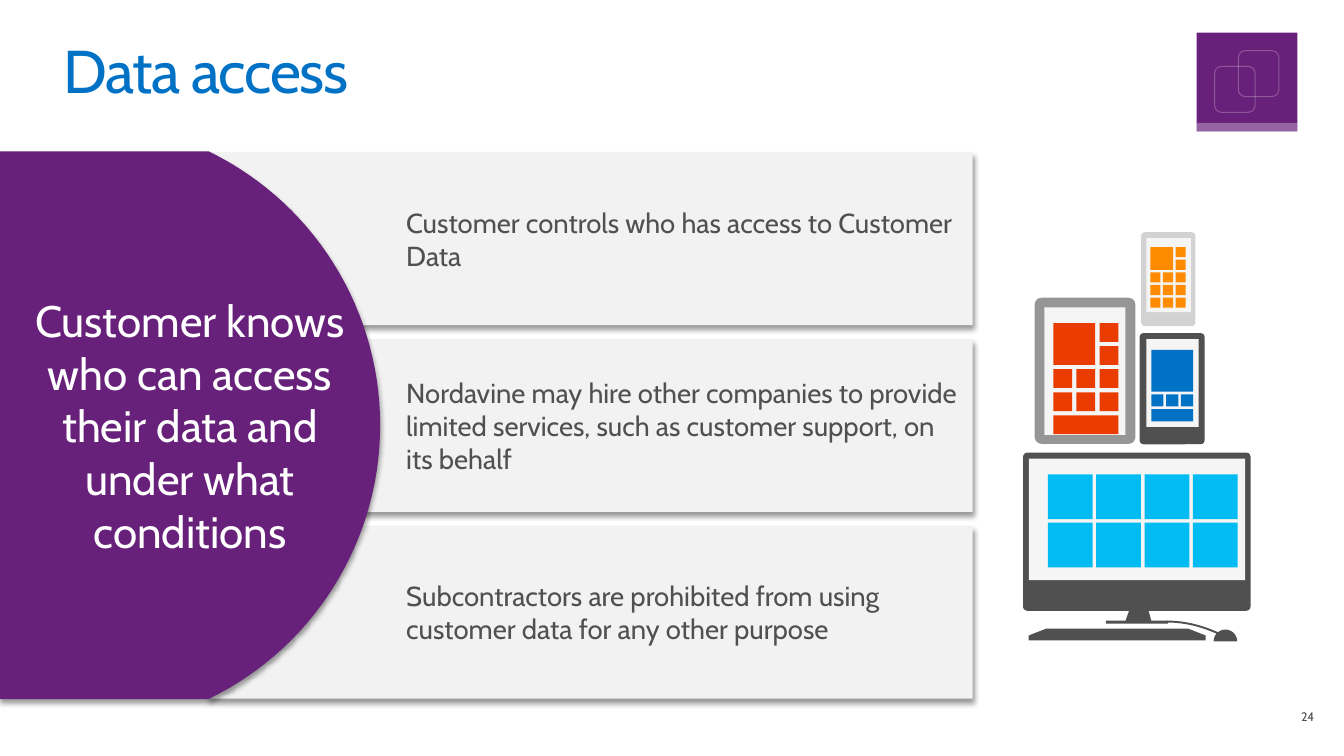
import math
from pptx import Presentation
from pptx.dml.color import RGBColor
from pptx.enum import shapes, text
from pptx.oxml import ns, xmlchemy
from pptx.util import Pt

COLORS = {
    "purple": "68217A", "white": "FFFFFF", "panel": "F2F2F2", "screen": "F5F5F5",
    "dark": "505050", "light": "D2D2D2", "mid": "969696", "title": "0072C6",
    "red": "EB3C00", "orange": "FF8C00", "cyan": "00BCF2", "black": "000000",
}
RECT = shapes.MSO_SHAPE.RECTANGLE
ROUND = shapes.MSO_SHAPE.ROUNDED_RECTANGLE

deck = Presentation()
deck.slide_width, deck.slide_height = Pt(979.2), Pt(550.8)
canvas = deck.slides.add_slide(deck.slide_layouts[6]).shapes


def draw(outline, fill=None, line=None, width=0.75, alpha=None, radius=None, shadow=False):
    """Draw a (preset, x, y, w, h) tuple or a list of (x, y) points, in points."""
    if isinstance(outline, tuple):
        preset, *box = outline
        part = canvas.add_shape(preset, *map(Pt, box))
        if radius:
            part.adjustments[0] = radius / min(box[2:])
    else:
        corners = [(Pt(x), Pt(y)) for x, y in outline]
        builder = canvas.build_freeform(*corners[0], scale=1.0)
        builder.add_line_segments(corners[1:], close=fill is not None)
        part = builder.convert_to_shape()
    part.shadow.inherit = False
    for paint, name in ((part.fill, fill), (part.line.fill, line)):
        if name is None:
            paint.background()
            continue
        paint.solid()
        paint.fore_color.rgb = RGBColor.from_string(COLORS[name])
    if line:
        part.line.width = Pt(width)
    properties = part._element.spPr
    if alpha:
        for color in properties.iter(ns.qn("a:srgbClr")):
            color.append(xmlchemy.OxmlElement("a:alpha"))
            color[-1].set("val", str(alpha * 1000))
    if shadow:
        effect = xmlchemy.OxmlElement("a:outerShdw")
        for key, value in {"blurRad": Pt(4), "dist": Pt(3), "dir": 90 * 60000,
                           "algn": "t", "rotWithShape": 0}.items():
            effect.set(key, str(value))
        color = xmlchemy.OxmlElement("a:srgbClr")
        color.set("val", COLORS["black"])
        color.append(xmlchemy.OxmlElement("a:alpha"))
        color[0].set("val", "40000")
        effect.append(color)
        properties.find(ns.qn("a:effectLst")).append(effect)
    return part


def write(part, words, size, color, margins, anchor="MIDDLE", align="LEFT", **spacing):
    frame = part.text_frame
    frame.word_wrap = True
    frame.vertical_anchor = text.MSO_ANCHOR[anchor]
    for side, margin in zip(("left", "top", "right", "bottom"), margins):
        setattr(frame, f"margin_{side}", Pt(margin))
    paragraph = frame.paragraphs[0]
    paragraph.alignment = text.PP_ALIGN[align]
    for key, value in spacing.items():
        setattr(paragraph, key, Pt(value))
    run = paragraph.add_run()
    run.text = words
    for key, value in {"name": "Cabin", "size": Pt(size)}.items():
        setattr(run.font, key, value)
    run.font.color.rgb = RGBColor.from_string(COLORS[color])
    return run


# Title and page number
heading = canvas.add_textbox(Pt(46), Pt(21), Pt(884), Pt(86.4))
heading_run = write(heading, "Data access", 44, "title", (0, 7.2, 11.5, 7.2), "TOP",
                    line_spacing=49)
heading_run.font._element.set("spc", "-100")
page_number = canvas.add_textbox(Pt(913), Pt(517), Pt(44.6), Pt(10.8))
write(page_number, "24", 9, "dark", (7.2, 0, 0, 0), align="RIGHT")

# Corner badge
draw((RECT, 871.9, 23.8, 73.4, 72), "purple")
draw((RECT, 871.9, 89.5, 73.4, 5.8), "white", alpha=30)
for x, y in ((902.2, 36.9), (884.9, 48.4)):
    draw((ROUND, x, y, 29.5, 33.5), line="white", alpha=23, radius=5)

# Statements
statements = [
    "Customer controls who has access to Customer Data",
    "Nordavine may hire other companies to provide limited services, "
    "such as customer support, on its behalf",
    "Subcontractors are prohibited from using customer data for any other purpose",
]
for row, statement in enumerate(statements):
    panel = draw((RECT, 152, 110.9 + 136.1 * row, 556.6, 126), "panel", shadow=True)
    write(panel, statement, 20, "dark", (144, 7.2, 7.2, 7.2))

# Key message on a flat-sided disc
middle, half_height, bulge, flat_edge = 309.8, 199.5, 125, 152
radius = (half_height ** 2 + bulge ** 2) / (2 * bulge)
center = flat_edge + bulge - radius
sweep = math.asin(half_height / radius)
curve = [(center + radius * math.cos(sweep * step / 30),
          middle + radius * math.sin(sweep * step / 30)) for step in range(-30, 31)]
message = draw([(0, middle - half_height), *curve, (0, middle + half_height)],
               "purple", shadow=True)
write(message, "Customer knows who can access their data and under what conditions",
      32, "white", (14.4, 11.5, 14.4, 11.5), align="CENTER", space_after=12)

# Monitor stand, keyboard, mouse and cable
draw([(823, 444), (836.6, 444), (838.8, 452.2), (851, 452.2), (851, 454.3),
      (805.7, 454.3), (805.7, 452.2), (820.1, 452.2)], "dark")
draw([(749.5, 466.6), (749.5, 463), (762.5, 457.9), (865.4, 457.9), (878.4, 463),
      (878.4, 466.6)], "dark")
draw([(892.8 - 8.6 * math.cos(math.pi * step / 16),
       467.3 - 8.6 * math.sin(math.pi * step / 16)) for step in range(17)], "dark")
draw([(850.3 + 43 * step / 12, 452.9 + 11.5 * (step / 12) ** 2) for step in range(13)],
     line="dark", width=1.4)

# Tiles as (column, row, columns spanned, rows spanned)
small_grid = [(0, 0, 2, 2), (2, 0, 1, 1), (2, 1, 1, 1)]
small_grid += [(column, row, 1, 1) for row in (2, 3) for column in range(3)]
phone_tiles = small_grid + [(column, 4, 1, 1) for column in range(3)]
tablet_tiles = small_grid + [(0, 4, 3, 1)]
handset_tiles = [(0, 0, 3, 3), (0, 4, 3, 1)] + [(column, 3, 1, 1) for column in range(3)]
monitor_tiles = [(column, row, 1, 1) for row in range(2) for column in range(4)]

# Body, body colour, corner, screen, tile colour, tile origin, pitch, gap, tiles
devices = [
    ((745.4, 329.8, 165.7, 115.2), "dark", 3, (749.6, 334.1, 157.6, 88.6),
     "cyan", (763.4, 345.6), 35.25, 2.6, monitor_tiles),
    ((831.4, 169.2, 39.6, 68.4), "light", 2.7, (835.2, 173.5, 32.4, 54),
     "orange", (838.1, 180), 9.2, 1.8, phone_tiles),
    ((753.8, 216.9, 73.5, 106.5), "mid", 5, (761, 223.9, 59, 92.9),
     "red", (767.5, 235.4), 16.8, 3.1, tablet_tiles),
    ((830.3, 242.7, 47.4, 81), "dark", 2.9, (835.2, 247, 38.2, 64.1),
     "title", (838.8, 254.9), 10.8, 1.9, handset_tiles),
]
for body, shell, corner, screen, hue, (left, top), pitch, gap, tiles in devices:
    draw((ROUND, *body), shell, radius=corner)
    draw((RECT, *screen), "screen")
    for column, row, across, down in tiles:
        draw((RECT, left + column * pitch, top + row * pitch,
              across * pitch - gap, down * pitch - gap), hue)

deck.save("out.pptx")
